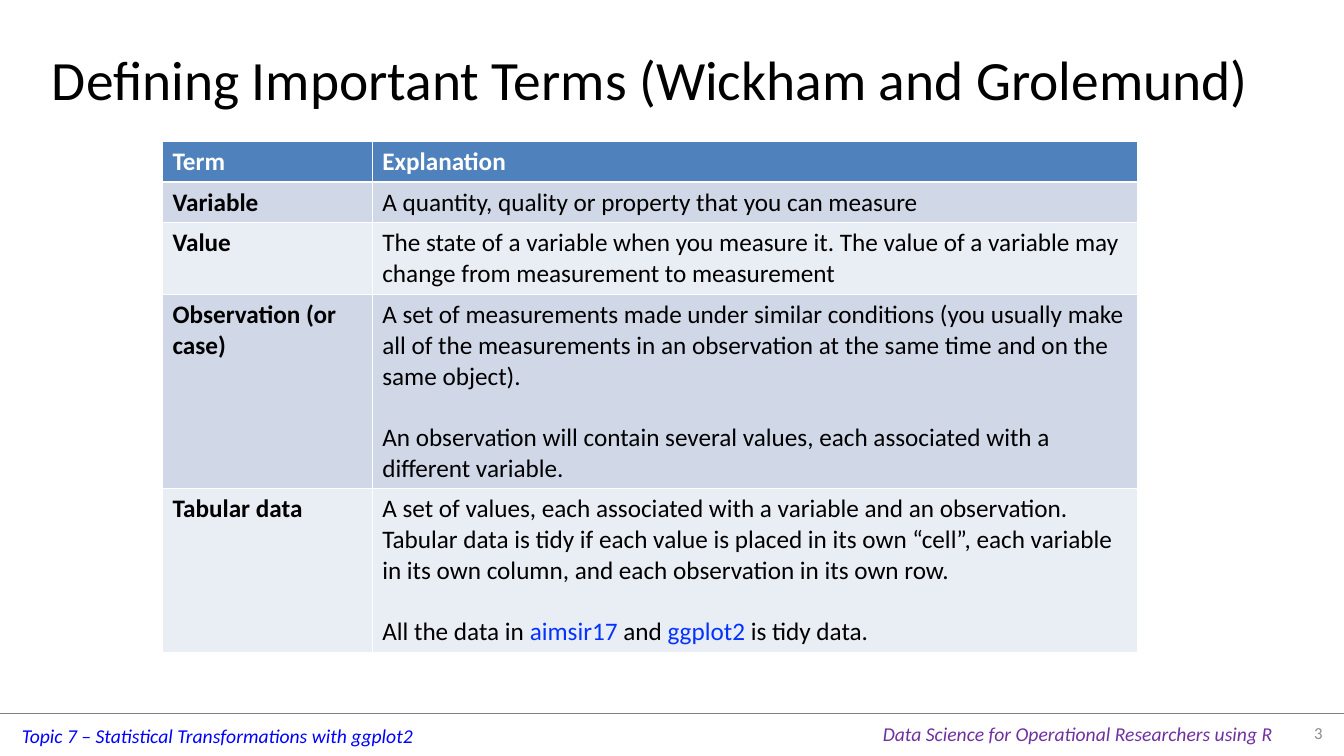
from lxml import etree
from pptx import Presentation
from pptx.dml.color import RGBColor
from pptx.enum import shapes, text
from pptx.oxml.ns import qn
from pptx.util import Pt

WIDE, HIGH = 960, 540
BLUE = "0432FF"
GAP = 22  # one line of 18 pt text
ROWS = [
    ("Variable", [["A quantity, quality or property that you can measure"]], 29.2),
    ("Value", [["The state of a variable when you measure it. The value of a variable "
                "may change from measurement to measurement"]], 51.2),
    ("Observation (or case)", [
        ["A set of measurements made under similar conditions (you usually make all of "
         "the measurements in an observation at the same time and on the same object)."],
        ["An observation will contain several values, each associated with a "
         "different variable."]], 138.8),
    ("Tabular data", [
        ["A set of values, each associated with a variable and an observation. Tabular "
         "data is tidy if each value is placed in its own “cell”, each variable in its "
         "own column, and each observation in its own row."],
        ["All the data in ", ("aimsir17", BLUE), " and ", ("ggplot2", BLUE),
         " is tidy data."]], 116.8),
]


def color(code):
    return RGBColor.from_string(code)


def write(frame, paras, size=18, ink="000000", bold=False, italic=False,
          align=text.PP_ALIGN.LEFT):
    """Fill a frame; each paragraph lists runs, as text or (text, colour)."""
    for i, runs in enumerate(paras):
        para = frame.add_paragraph() if i else frame.paragraphs[0]
        para.alignment = align
        if i:
            para.space_before = Pt(GAP)
        for part in runs:
            words, tint = (part, ink) if isinstance(part, str) else part
            run = para.add_run()
            run.text = words
            font = run.font
            font.name, font.size = "Calibri", Pt(size)
            font.bold, font.italic = bold, italic
            font.color.rgb = color(tint)


def label(slide, box, words, wrap=True, anchor=text.MSO_ANCHOR.MIDDLE, **look):
    frame = slide.shapes.add_textbox(*map(Pt, box)).text_frame
    frame.word_wrap = wrap
    frame.vertical_anchor = anchor
    write(frame, [[words]], **look)


def footer(slide, left, top, width, height):
    rule = slide.shapes.add_connector(
        shapes.MSO_CONNECTOR.STRAIGHT, Pt(left), Pt(top), Pt(left + width), Pt(top))
    rule.line.color.rgb = color("808080")
    rule.line.width = Pt(0.25)
    etree.SubElement(rule._element.spPr, qn("a:effectLst"))
    note = dict(wrap=False, anchor=text.MSO_ANCHOR.TOP, size=14, italic=True)
    label(slide, (left + 8.6, top + 4.6, 297.4, 24.2),
          "Topic 7 – Statistical Transformations with ggplot2", ink="0000FF", **note)
    label(slide, (left + 623.5, top + 2.7, 296, 24.2),
          "Data Science for Operational Researchers using R", ink="7030A0", **note)
    label(slide, (left + width - 47.8, top, 39.6, height), "3",
          size=12, ink="8C8C8C", align=text.PP_ALIGN.RIGHT)


def terms(slide, left, top, width, height):
    """Table of terms; white rules come from the default table style."""
    grid = slide.shapes.add_table(
        len(ROWS) + 1, 2, Pt(left), Pt(top), Pt(width), Pt(height)).table
    first = 149.8
    grid.columns[0].width = Pt(first)
    grid.columns[1].width = Pt(width - first)
    lines = [("Term", [["Explanation"]], 29.2)] + ROWS
    for i, (term, paras, tall) in enumerate(lines):
        grid.rows[i].height = Pt(tall)
        head = i == 0
        fill = "4F81BD" if head else ("E9EDF4", "D0D8E8")[i % 2]
        ink = "FFFFFF" if head else "000000"
        for j, body in enumerate(([[term]], paras)):
            cell = grid.cell(i, j)
            cell.fill.solid()
            cell.fill.fore_color.rgb = color(fill)
            write(cell.text_frame, body, ink=ink, bold=head or j == 0)


def main():
    deck = Presentation()
    deck.slide_width, deck.slide_height = Pt(WIDE), Pt(HIGH)
    slide = deck.slides.add_slide(deck.slide_layouts[6])
    footer(slide, 0, 509.2, WIDE, 28)
    label(slide, (16.6, 10.8, 895.7, 90),
          "Defining Important Terms (Wickham and Grolemund)",
          size=39.6, align=text.PP_ALIGN.CENTER)
    terms(slide, 116.1, 100.8, 696.3, 365.2)
    deck.save("out.pptx")


if __name__ == "__main__":
    main()
